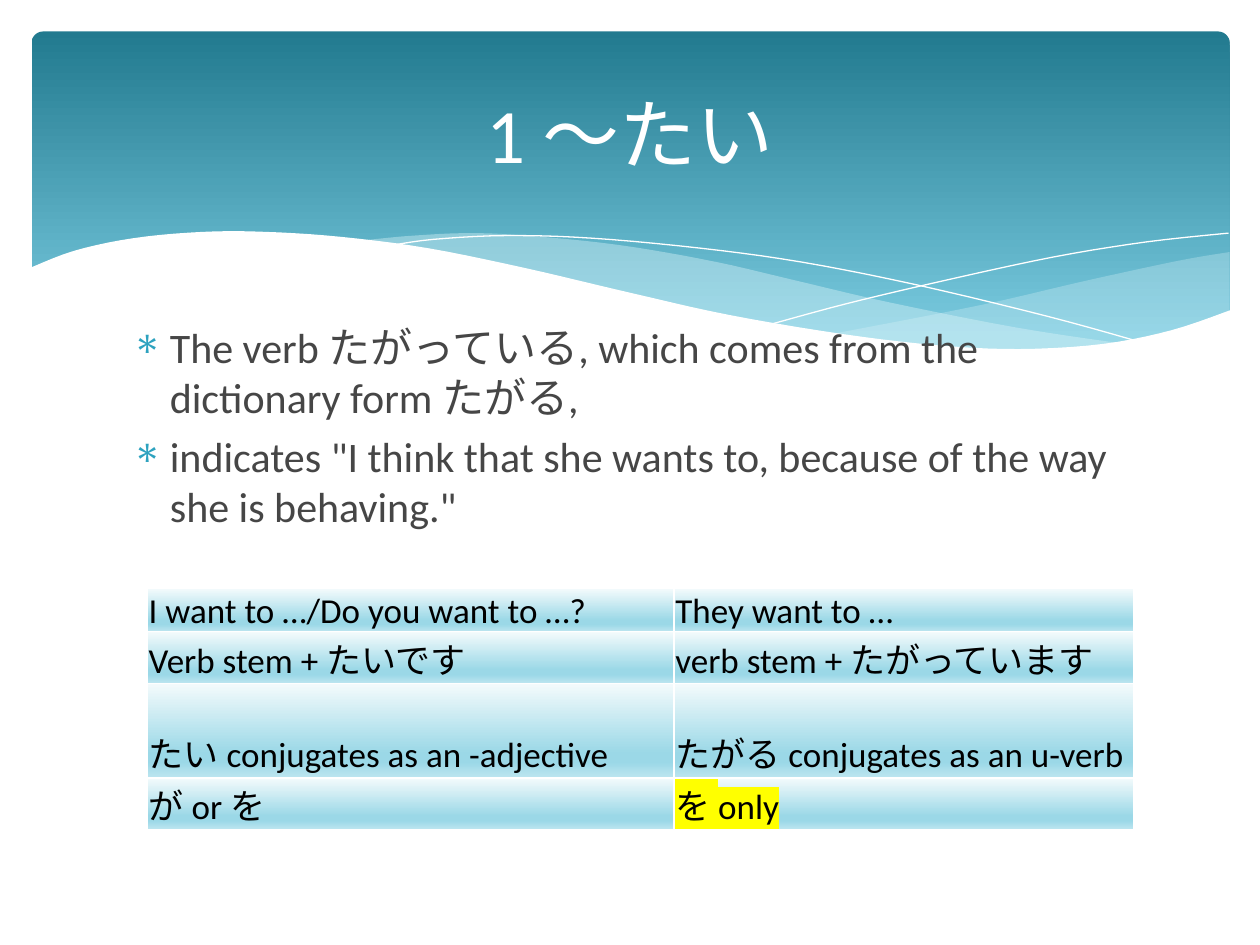
import pptx
import pptx.util
import pptx.dml.color
import pptx.enum.shapes
import pptx.enum.text
import pptx.oxml
import pptx.oxml.ns

Inches, Pt = pptx.util.Inches, pptx.util.Pt
RGB = pptx.dml.color.RGBColor.from_string
ANCHOR, ALIGN = pptx.enum.text.MSO_ANCHOR, pptx.enum.text.PP_ALIGN

# Content
TITLE = "1 ～たい"
BULLETS = [
    "The verb たがっている, which comes from the dictionary form たがる,",
    'indicates "I think that she wants to, because of the way she is behaving."',
]
TABLE = [
    ("I want to …/Do you want to …?", "They want to …"),
    ("Verb stem + たいです", "verb stem + たがっています"),
    ("たい conjugates as an -adjective", "たがる conjugates as an u-verb"),
    ("が or を", "を only"),
]
HIGHLIGHTED = "を only"
COLUMN_WIDTHS = (4.18, 3.65)
ROW_HEIGHTS = (0.34, 0.41, 0.75, 0.41)

THEME = dict(
    font="Calibri", title_size=44, body_size=24, table_size=20,
    white="FFFFFF", body="464646", black="000000", bullet="2DA2BF",
    haze="DEF5FA", marker="FFFF00",
    banner=[(0, "227A8F"), (90, "7ACBE0")],
    cell=[(0, "F4FBFC"), (74, "9BD8E7"), (83, "9BD8E7"), (100, "BCE5EF")],
)

# Knots of the banner's curves, in inches; each wave is a list of smooth edges
RIGHT_WAVE = [
    [(9.76, 2), (9.35, 2.07), (8.61, 2.23), (7.79, 2.42), (6.61, 2.65)],
    [(6.61, 2.65), (7.19, 2.72), (7.81, 2.77), (8.35, 2.77), (8.89, 2.72),
     (9.35, 2.62), (9.76, 2.47)],
]
MIDDLE_WAVE = [
    [(8.93, 2.73), (8.07, 2.6), (7.06, 2.4), (6.29, 2.22), (5.69, 2.08),
     (5.02, 1.96), (4.42, 1.89), (3.8, 1.85), (3.28, 1.87), (2.86, 1.91)],
    [(2.86, 1.91), (3.42, 1.99), (4.04, 2.11), (4.91, 2.32), (5.66, 2.48),
     (6.34, 2.61), (6.95, 2.7), (7.61, 2.77), (8.18, 2.78), (8.93, 2.73)],
]
FALLING_LINE = [[(3.09, 1.95), (3.44, 1.9), (4.01, 1.87), (4.69, 1.89), (5.56, 1.97),
                 (6.36, 2.08), (7.27, 2.26), (8.31, 2.51), (9.07, 2.72)]]
RISING_LINE = [[(6.13, 2.57), (6.72, 2.41), (7.48, 2.23), (8.36, 2.04), (9.1, 1.92),
                (9.75, 1.85)]]
WHITE_WAVE = [
    [(9.77, 2.46), (9.3, 2.62), (8.75, 2.73), (8.09, 2.77), (7.44, 2.74), (6.68, 2.65),
     (5.79, 2.5), (5.03, 2.33), (4.18, 2.13), (3.4, 1.97), (2.71, 1.88), (2.11, 1.84),
     (1.61, 1.84), (1.06, 1.89), (0.59, 1.99), (0.23, 2.13)],
    [(0.23, 3.29), (9.77, 3.29)],
]


def add_xml(parent, tag, inner="", attrs=""):
    node = pptx.oxml.parse_xml(
        f"<a:{tag} {pptx.oxml.ns.nsdecls('a')} {attrs}>{inner}</a:{tag}>")
    parent.append(node)
    return node


def solid(color):
    return f'<a:solidFill><a:srgbClr val="{color}"/></a:solidFill>'


def gradient(stops):
    """Contents of a top-to-bottom gradient fill."""
    marks = "".join(f'<a:gs pos="{pos * 1000}"><a:srgbClr val="{color}"/></a:gs>'
                    for pos, color in stops)
    return f'<a:gsLst>{marks}</a:gsLst><a:lin ang="5400000" scaled="0"/>'


def smooth(knots, steps=5):
    """Points of a Catmull-Rom curve through the knots."""
    if len(knots) < 3:
        return knots
    ends = [knots[0], *knots, knots[-1]]
    points = [knots[0]]
    for a, b, c, d in zip(ends, ends[1:], ends[2:], ends[3:]):
        for i in range(1, steps + 1):
            t = i / steps
            points.append(tuple(
                0.5 * (2 * q + (s - p) * t + (2 * p - 5 * q + 4 * s - u) * t ** 2
                       + (3 * q - p - 3 * s + u) * t ** 3)
                for p, q, s, u in zip(a, b, c, d)))
    return points


def add_curve(slide, edges, fill=None, alpha=100, line=None):
    # The builder rounds to whole units, so points are given in EMU
    points = [(Inches(x), Inches(y)) for edge in edges for x, y in smooth(edge)]
    builder = slide.shapes.build_freeform(*points[0])
    builder.add_line_segments(points[1:], close=fill is not None)
    sp = builder.convert_to_shape()
    sp.shadow.inherit = False
    if fill:
        sp.fill.solid()
        sp.fill.fore_color.rgb = RGB(fill)
        color = sp._element.spPr.find(".//" + pptx.oxml.ns.qn("a:srgbClr"))
        add_xml(color, "alpha", attrs=f'val="{alpha * 1000}"')
    else:
        sp.fill.background()
    if line:
        sp.line.color.rgb = RGB(line)
        sp.line.width = Pt(0)
    else:
        sp.line.fill.background()


def style(p, size, color):
    for r in p.runs:
        r.font.size = Pt(size)
        r.font.name = THEME["font"]
        r.font.color.rgb = RGB(color)


def add_text(slide, box, lines, anchor):
    tf = slide.shapes.add_textbox(*map(Inches, box)).text_frame
    tf.word_wrap = True
    tf.vertical_anchor = anchor
    tf.text = "\n".join(lines)
    return tf.paragraphs


def add_banner(slide):
    sp = slide.shapes.add_shape(pptx.enum.shapes.MSO_SHAPE.ROUNDED_RECTANGLE,
                                *map(Inches, (0.25, 0.25, 9.51, 2.7)))
    sp.adjustments[0] = 0.034
    sp.shadow.inherit = False
    sp.line.fill.background()
    geometry = sp._element.spPr.find(pptx.oxml.ns.qn("a:prstGeom"))
    geometry.addnext(add_xml(sp._element.spPr, "gradFill", gradient(THEME["banner"])))
    add_curve(slide, RIGHT_WAVE, THEME["haze"], 29)
    add_curve(slide, MIDDLE_WAVE, THEME["haze"], 40)
    add_curve(slide, FALLING_LINE, line=THEME["white"])
    add_curve(slide, RISING_LINE, line=THEME["white"])
    add_curve(slide, WHITE_WAVE, THEME["white"])


def add_bullets(slide):
    for i, p in enumerate(add_text(slide, (0.95, 2.5, 8.1, 3.77), BULLETS, ANCHOR.TOP)):
        pPr = p._p.get_or_add_pPr()
        pPr.set("marL", str(Inches(0.3)))
        pPr.set("indent", str(-Inches(0.3)))
        add_xml(pPr, "buClr", f'<a:srgbClr val="{THEME["bullet"]}"/>')
        add_xml(pPr, "buChar", attrs='char="∗"')
        if i:
            p.space_before = Pt(0.2 * THEME["body_size"])
        style(p, THEME["body_size"], THEME["body"])


def add_grid(slide):
    box = (1.17, 4.67, sum(COLUMN_WIDTHS), sum(ROW_HEIGHTS))
    table = slide.shapes.add_table(len(TABLE), len(COLUMN_WIDTHS), *map(Inches, box)).table
    table.first_row = table.horz_banding = False
    for column, width in zip(table.columns, COLUMN_WIDTHS):
        column.width = Inches(width)
    for row, height, texts in zip(table.rows, ROW_HEIGHTS, TABLE):
        row.height = Inches(height)
        for cell, text in zip(row.cells, texts):
            cell.text = text
            cell.vertical_anchor = ANCHOR.BOTTOM
            cell.margin_left = cell.margin_right = cell.margin_top = Inches(0.01)
            cell.margin_bottom = 0
            tcPr = cell._tc.get_or_add_tcPr()
            for side in "LRTB":
                add_xml(tcPr, "ln" + side, solid(THEME["white"]), f'w="{Pt(1)}"')
            add_xml(tcPr, "gradFill", gradient(THEME["cell"]))
            p = cell.text_frame.paragraphs[0]
            style(p, THEME["table_size"], THEME["black"])
            if text == HIGHLIGHTED:
                rPr = p.runs[0]._r.get_or_add_rPr()
                mark = add_xml(rPr, "highlight", f'<a:srgbClr val="{THEME["marker"]}"/>')
                rPr.find(pptx.oxml.ns.qn("a:latin")).addprevious(mark)


def main():
    prs = pptx.Presentation()
    prs.slide_width, prs.slide_height = Inches(10), Inches(7.5)
    slide = prs.slides.add_slide(prs.slide_layouts[6])
    add_banner(slide)
    add_bullets(slide)
    p = add_text(slide, (0.5, 0.37, 9, 1.37), [TITLE], ANCHOR.MIDDLE)[0]
    p.alignment = ALIGN.CENTER
    style(p, THEME["title_size"], THEME["white"])
    add_grid(slide)
    prs.save("out.pptx")


if __name__ == "__main__":
    main()
